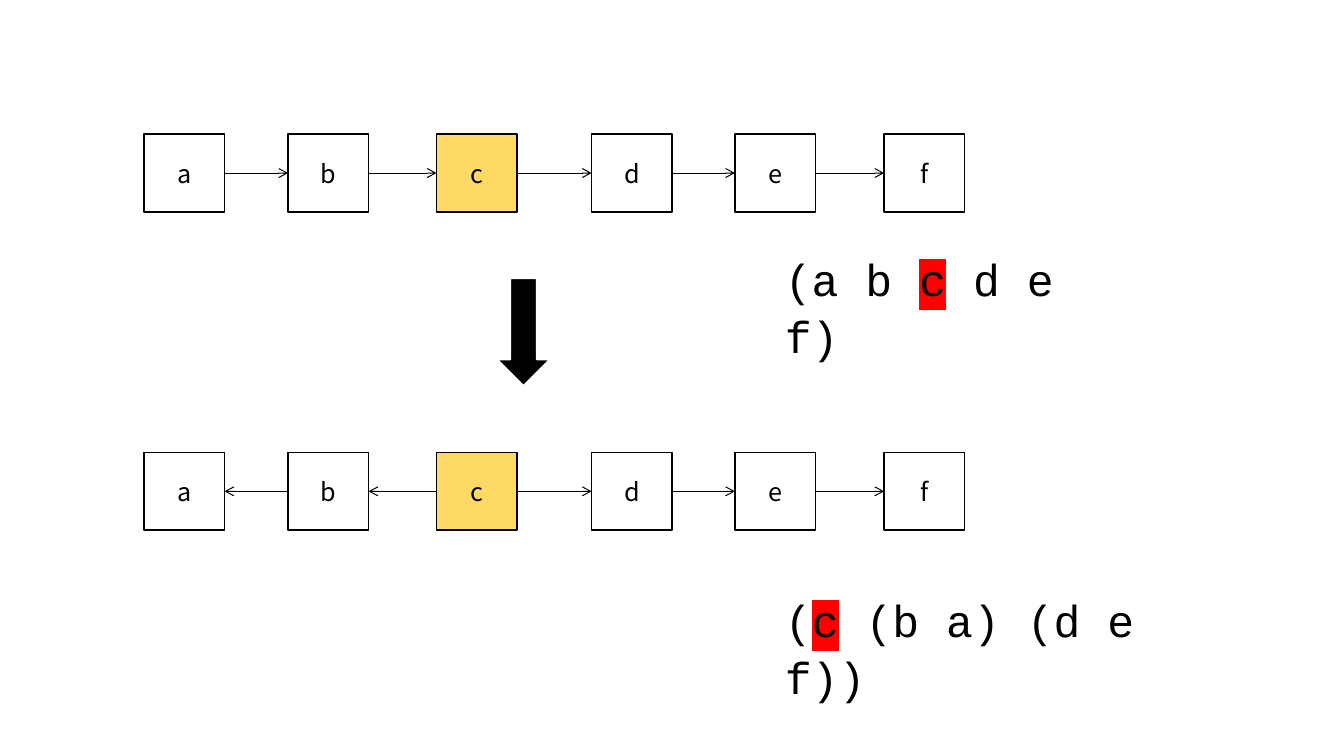
from lxml import etree
from pptx import Presentation
from pptx.dml.color import RGBColor
from pptx.enum.shapes import MSO_CONNECTOR, MSO_SHAPE
from pptx.enum.text import MSO_ANCHOR, MSO_AUTO_SIZE, PP_ALIGN
from pptx.oxml.ns import qn
from pptx.util import Cm, Pt

RECTANGLE = MSO_SHAPE.RECTANGLE
DOWN_ARROW = MSO_SHAPE.DOWN_ARROW
STRAIGHT = MSO_CONNECTOR.STRAIGHT
MIDDLE = MSO_ANCHOR.MIDDLE
CENTER = PP_ALIGN.CENTER
GROW = MSO_AUTO_SIZE.SHAPE_TO_FIT_TEXT
LEFT_SIDE, RIGHT_SIDE = 1, 3

BLACK, WHITE, YELLOW, RED = "000000", "FFFFFF", "FFD966", "FF0000"
LETTERS = "abcdef"
PIVOT = "c"
COLUMNS = [3.63, 7.26, 11, 14.91, 18.52, 22.28]


def color(value):
    return RGBColor.from_string(value)


class ListDiagram:
    label_font = "Noto Sans CJK SC"
    code_font = "Courier New"
    node_width, node_height = 2.03, 1.96

    def __init__(self, page):
        self.page = page

    def shape(self, kind, left, top, width, height, fill, line, line_width):
        shape = self.page.shapes.add_shape(
            kind, Cm(left), Cm(top), Cm(width), Cm(height))
        shape.shadow.inherit = False
        shape.fill.solid()
        shape.fill.fore_color.rgb = color(fill)
        shape.line.color.rgb = color(line)
        shape.line.width = Pt(line_width)
        return shape

    def span(self, para, text, font, size, highlight=None):
        span = para.add_run()
        span.text = text
        span.font.size = Pt(size)
        span.font.color.rgb = color(BLACK)
        if highlight:
            properties = span.font.fill._xPr
            mark = etree.SubElement(properties, qn("a:highlight"))
            etree.SubElement(mark, qn("a:srgbClr"), val=highlight)
        span.font.name = font

    def node(self, letter, left, top):
        fill = YELLOW if letter == PIVOT else WHITE
        box = self.shape(RECTANGLE, left, top, self.node_width,
                         self.node_height, fill, BLACK, 1)
        box.text_frame.vertical_anchor = MIDDLE
        para = box.text_frame.paragraphs[0]
        para.alignment = CENTER
        self.span(para, letter, self.label_font, 18)
        return box

    def link(self, start, start_side, end, end_side):
        connector = self.page.shapes.add_connector(STRAIGHT, 0, 0, 0, 0)
        connector.begin_connect(start, start_side)
        connector.end_connect(end, end_side)
        connector.line.color.rgb = color(BLACK)
        connector.line.width = Pt(0.75)
        properties = connector.element.spPr
        line = properties.find(qn("a:ln"))
        etree.SubElement(line, qn("a:tailEnd"), type="arrow")
        etree.SubElement(properties, qn("a:effectLst"))

    def chain(self, top, reversed_links):
        nodes = [self.node(letter, left, top)
                 for letter, left in zip(LETTERS, COLUMNS)]
        for index, (first, second) in enumerate(zip(nodes, nodes[1:])):
            if index < reversed_links:
                self.link(second, LEFT_SIDE, first, RIGHT_SIDE)
            else:
                self.link(first, RIGHT_SIDE, second, LEFT_SIDE)

    def code(self, left, top, width, before, after):
        box = self.page.shapes.add_textbox(
            Cm(left), Cm(top), Cm(width), Cm(1.63))
        frame = box.text_frame
        frame.word_wrap = True
        frame.auto_size = GROW
        para = frame.paragraphs[0]
        para.line_spacing = 1.07
        self.span(para, before, self.code_font, 32)
        self.span(para, PIVOT, self.code_font, 32, RED)
        self.span(para, after, self.code_font, 32)


def main():
    deck = Presentation()
    deck.slide_width, deck.slide_height = Cm(33.87), Cm(19.05)
    page = deck.slides.add_slide(deck.slide_layouts[6])
    diagram = ListDiagram(page)
    diagram.chain(3.38, reversed_links=0)
    diagram.chain(11.4, reversed_links=LETTERS.index(PIVOT))
    diagram.shape(DOWN_ARROW, 12.52, 7.01, 1.35, 2.72, BLACK, WHITE, 1.5)
    diagram.code(19.53, 6.12, 8.69, "(a b ", " d e f)")
    diagram.code(19.53, 14.71, 11.18, "(", " (b a) (d e f))")
    deck.save("out.pptx")


if __name__ == "__main__":
    main()
